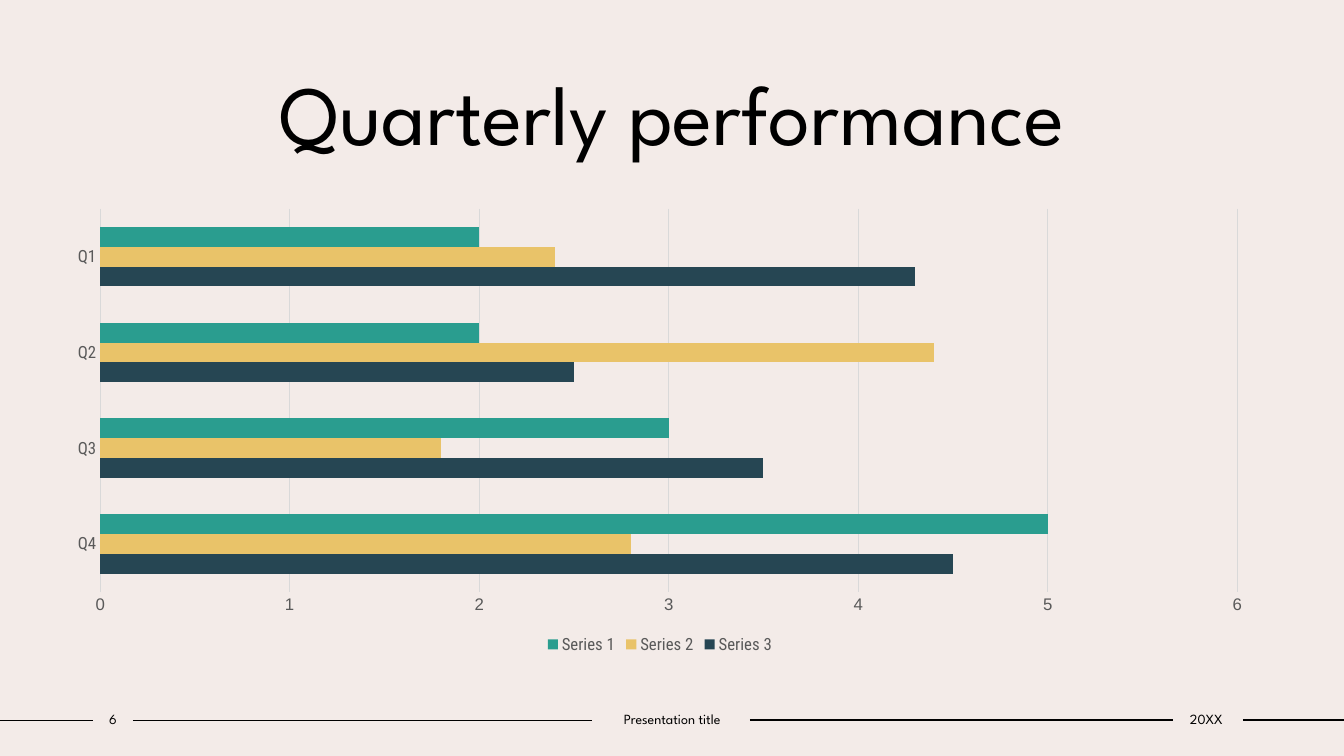
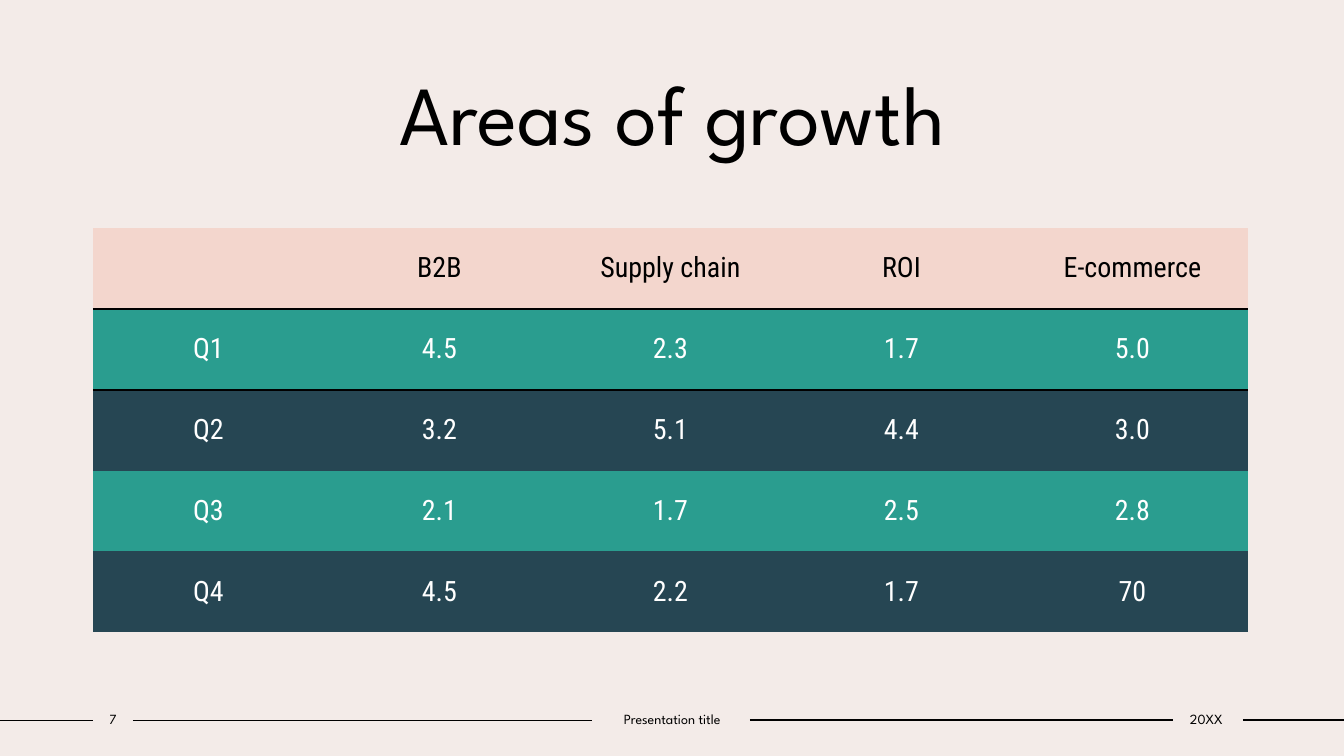
from dataclasses import dataclass
from typing import Any

from lxml.etree import SubElement
from pptx import Presentation
from pptx.chart.data import CategoryChartData
from pptx.dml.color import RGBColor
from pptx.enum.chart import XL_CHART_TYPE as ChartType
from pptx.enum.chart import XL_LEGEND_POSITION as LegendPosition
from pptx.enum.chart import XL_TICK_MARK as TickMark
from pptx.enum.shapes import MSO_CONNECTOR as Connector
from pptx.enum.text import MSO_ANCHOR as Anchor
from pptx.enum.text import PP_ALIGN as Align
from pptx.oxml import parse_xml
from pptx.oxml.ns import nsdecls, qn
from pptx.slide import Slide
from pptx.util import Cm, Pt

# Colours and fonts
CREAM = RGBColor(0xF3, 0xEB, 0xE8)
BLUSH = RGBColor(0xF3, 0xD6, 0xCD)
TEAL = RGBColor(0x2A, 0x9D, 0x8F)
GOLD = RGBColor(0xE9, 0xC3, 0x69)
NAVY = RGBColor(0x26, 0x46, 0x53)
GREY = RGBColor(0x59, 0x59, 0x59)
PALE_GREY = RGBColor(0xD9, 0xD9, 0xD9)
BLACK = RGBColor(0x00, 0x00, 0x00)
WHITE = RGBColor(0xFF, 0xFF, 0xFF)
HEADING_FONT = "League Spartan"
BODY_FONT = "Roboto Condensed"

# Text formats
TITLE_FORMAT = {"name": HEADING_FONT, "size": Pt(60), "color": BLACK}
FOOTER_FORMAT = {"name": HEADING_FONT, "size": Pt(10), "color": BLACK}
LABEL_FORMAT = {"name": BODY_FONT, "size": Pt(12), "color": GREY}
NUMBER_FORMAT = LABEL_FORMAT | {"name": "Arial"}
HEADER_FORMAT = {"name": BODY_FONT, "size": Pt(20), "color": BLACK}
CELL_FORMAT = HEADER_FORMAT | {"color": WHITE}

NO_TABLE_STYLE = "{2D5ABB26-0587-4C30-8999-92F81FD0307C}"


@dataclass(frozen=True)
class Area:
    left: float
    top: float
    width: float
    height: float

    def lengths(self) -> tuple[Cm, ...]:
        return tuple(Cm(v) for v in (self.left, self.top, self.width, self.height))


@dataclass(frozen=True)
class Rule:
    start: float
    end: float
    height: float


@dataclass(frozen=True)
class Series:
    name: str
    values: tuple[float, ...]
    color: RGBColor


# Places, in centimetres
TITLE_AREA = Area(3.18, 1.42, 27.53, 2.82)
CHART_AREA = Area(1.35, 5.03, 30.56, 11.56)
TABLE_AREA = Area(2.34, 5.74, 29.11, 10.2)
NUMBER_AREA = Area(2.34, 17.78, 1.02, 0.69)
NAME_AREA = Area(14.91, 17.78, 4.06, 0.69)
YEAR_AREA = Area(29.51, 17.78, 1.78, 0.69)
FOOTER_RULES = (
    Rule(0, 2.34, 18.16),
    Rule(3.35, 14.91, 18.16),
    Rule(18.9, 29.57, 18.14),
    Rule(31.32, 33.87, 18.14),
)

# Content
QUARTERS = ("Q4", "Q3", "Q2", "Q1")
PERFORMANCE = (
    Series("Series 3", (4.5, 3.5, 2.5, 4.3), NAVY),
    Series("Series 2", (2.8, 1.8, 4.4, 2.4), GOLD),
    Series("Series 1", (5, 3, 2, 2), TEAL),
)
GROWTH = (
    ("", "B2B", "Supply chain", "ROI", "E-commerce"),
    ("Q1", "4.5", "2.3", "1.7", "5.0"),
    ("Q2", "3.2", "5.1", "4.4", "3.0"),
    ("Q3", "2.1", "1.7", "2.5", "2.8"),
    ("Q4", "4.5", "2.2", "1.7", "70"),
)


def format_font(font: Any, values: dict[str, Any]) -> None:
    for name, value in values.items():
        if name == "color":
            font.color.rgb = value
        else:
            setattr(font, name, value)


def add_text(page: Slide, area: Area, text: str, values: dict[str, Any],
             side_margin: float = 0) -> None:
    frame = page.shapes.add_textbox(*area.lengths()).text_frame
    settings = {
        "word_wrap": True,
        "vertical_anchor": Anchor.MIDDLE,
        "margin_left": Cm(side_margin),
        "margin_right": Cm(side_margin),
    }
    for name, value in settings.items():
        setattr(frame, name, value)
    para = frame.paragraphs[0]
    para.alignment = Align.CENTER
    span = para.add_run()
    span.text = text
    format_font(span.font, values)


def add_rule(page: Slide, rule: Rule) -> None:
    height = Cm(rule.height)
    line = page.shapes.add_connector(
        Connector.STRAIGHT, Cm(rule.start), height, Cm(rule.end), height)
    line.line.color.rgb = BLACK
    line.line.width = Pt(1)
    SubElement(line._element.spPr, qn("a:effectLst"))


def add_page(deck: Any, title: str, number: int) -> Slide:
    """Add a page with the shared title and footer."""
    page = deck.slides.add_slide(deck.slide_layouts[6])
    for rule in FOOTER_RULES:
        add_rule(page, rule)
    add_text(page, TITLE_AREA, title, TITLE_FORMAT, side_margin=0.25)
    footers = ((NUMBER_AREA, str(number)), (NAME_AREA, "Presentation title"),
               (YEAR_AREA, "20XX"))
    for area, text in footers:
        add_text(page, area, text, FOOTER_FORMAT)
    return page


def add_performance_chart(page: Slide) -> None:
    data = CategoryChartData()
    data.categories = QUARTERS
    for series in PERFORMANCE:
        data.add_series(series.name, series.values)
    chart = page.shapes.add_chart(
        ChartType.BAR_CLUSTERED, *CHART_AREA.lengths(), data).chart
    chart.has_title = False
    format_font(chart.font, LABEL_FORMAT)

    # Bars
    plot = chart.plots[0]
    plot.gap_width = 182
    plot.vary_by_categories = False
    for bars, series in zip(plot.series, PERFORMANCE):
        bars.format.fill.solid()
        bars.format.fill.fore_color.rgb = series.color

    # Axes
    quarters, amounts = chart.category_axis, chart.value_axis
    for axis, values in ((quarters, LABEL_FORMAT), (amounts, NUMBER_FORMAT)):
        axis.major_tick_mark = axis.minor_tick_mark = TickMark.NONE
        format_font(axis.tick_labels.font, values)
    amounts.minimum_scale, amounts.maximum_scale, amounts.major_unit = 0, 6, 1
    amounts.format.line.fill.background()
    for line in (quarters.format.line, amounts.major_gridlines.format.line):
        line.color.rgb = PALE_GREY
        line.width = Pt(0.75)

    # Legend
    chart.has_legend = True
    chart.legend.position = LegendPosition.BOTTOM
    chart.legend.include_in_layout = False
    format_font(chart.legend.font, LABEL_FORMAT)


def add_border(cell: Any, side: str) -> None:
    border = parse_xml(
        f'<a:{side} {nsdecls("a")} w="{Pt(1.5)}"><a:solidFill>'
        f'<a:srgbClr val="{BLACK}"/></a:solidFill></a:{side}>')
    cell._tc.get_or_add_tcPr().insert(0, border)


def add_growth_table(page: Slide) -> None:
    table = page.shapes.add_table(
        len(GROWTH), len(GROWTH[0]), *TABLE_AREA.lengths()).table
    table._tbl.tblPr.find(qn("a:tableStyleId")).text = NO_TABLE_STYLE
    for row, texts in enumerate(GROWTH):
        fill = BLUSH if row == 0 else (NAVY, TEAL)[row % 2]
        for column, text in enumerate(texts):
            cell = table.cell(row, column)
            cell.fill.solid()
            cell.fill.fore_color.rgb = fill
            cell.vertical_anchor = Anchor.MIDDLE
            if row < 2:
                add_border(cell, ("lnB", "lnT")[row])
            para = cell.text_frame.paragraphs[0]
            para.alignment = Align.CENTER
            if text:
                span = para.add_run()
                span.text = text
                format_font(span.font, CELL_FORMAT if row else HEADER_FORMAT)


def main() -> None:
    deck = Presentation()
    deck.slide_width, deck.slide_height = Cm(33.87), Cm(19.05)
    background = deck.slide_master.background.fill
    background.solid()
    background.fore_color.rgb = CREAM

    add_performance_chart(add_page(deck, "Quarterly performance", 6))
    add_growth_table(add_page(deck, "Areas of growth", 7))
    deck.save("out.pptx")


if __name__ == "__main__":
    main()
